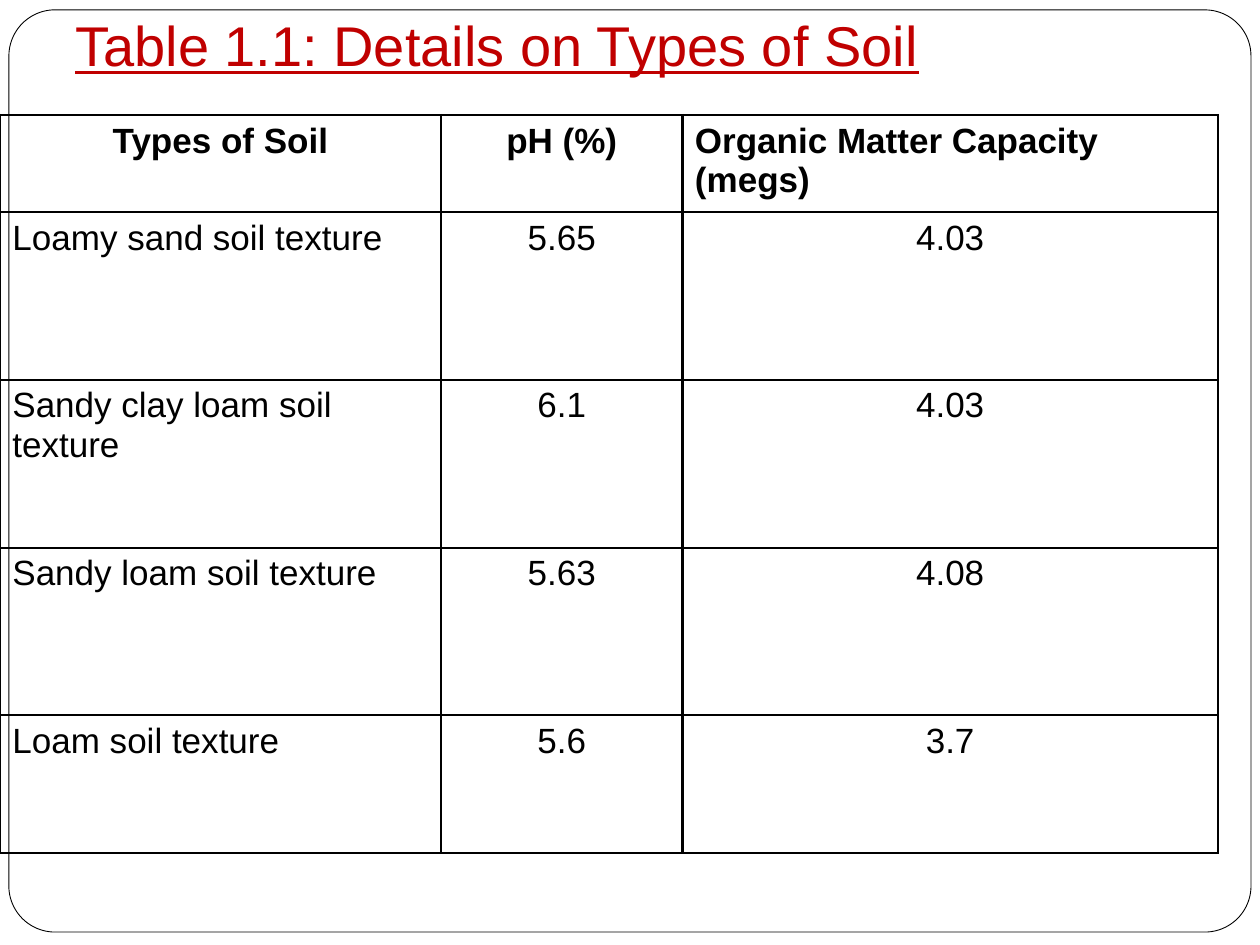
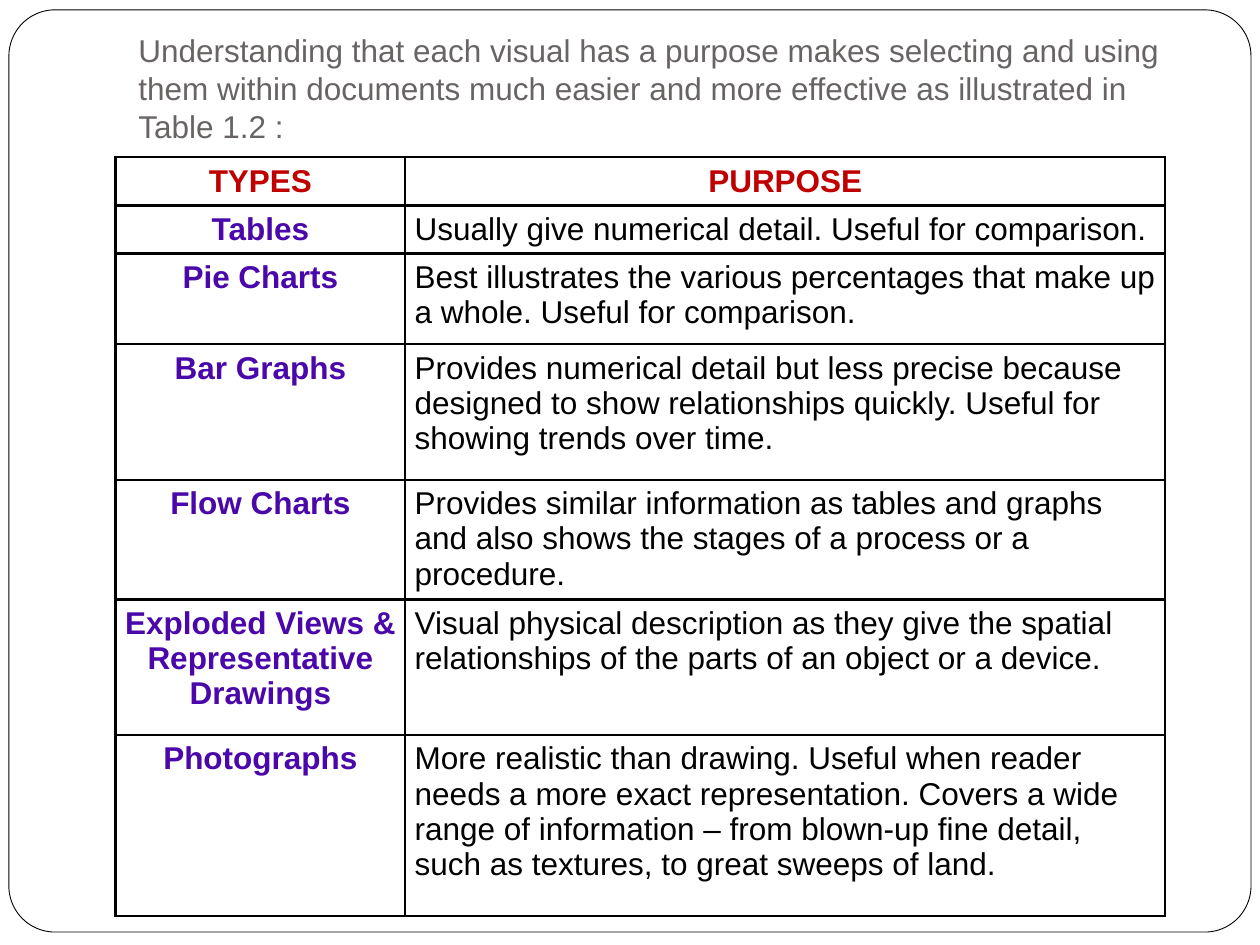
import pptx
import pptx.util
import pptx.oxml
import pptx.oxml.ns
import pptx.dml.color
import pptx.enum.shapes
import pptx.enum.text

Cm = pptx.util.Cm
Pt = pptx.util.Pt
RGB = pptx.dml.color.RGBColor
ALIGN = pptx.enum.text.PP_ALIGN

BLACK = RGB(0x00, 0x00, 0x00)
WHITE = RGB(0xFF, 0xFF, 0xFF)
RED = RGB(0xC0, 0x00, 0x00)
GREY = RGB(0x69, 0x64, 0x64)
VIOLET = RGB(0x4A, 0x08, 0xAA)
FONT = "Arial"
RULE = Pt(1.47)

SOILS = [
    ("Types of Soil", "pH (%)", "Organic Matter Capacity (megs)"),
    ("Loamy sand soil texture", "5.65", "4.03"),
    ("Sandy clay loam soil texture", "6.1", "4.03"),
    ("Sandy loam soil texture", "5.63", "4.08"),
    ("Loam soil texture", "5.6", "3.7"),
]

VISUALS = [
    ("TYPES", "PURPOSE"),
    ("Tables", "Usually give numerical detail. Useful for comparison."),
    ("Pie Charts", "Best illustrates the various percentages that make up "
     "a whole. Useful for comparison."),
    ("Bar Graphs", "Provides numerical detail but less precise because "
     "designed to show relationships quickly. Useful for showing trends "
     "over time."),
    ("Flow Charts", "Provides similar information as tables and graphs and "
     "also shows the stages of a process or a procedure."),
    ("Exploded Views & Representative Drawings", "Visual physical "
     "description as they give the spatial relationships of the parts of an "
     "object or a device."),
    ("Photographs", "More realistic than drawing. Useful when reader needs a "
     "more exact representation. Covers a wide range of information – from "
     "blown-up fine detail, such as textures, to great sweeps of land."),
]


def soil_look(row, col):
    """Colour, bold and centred for a cell of the soil table."""
    head = row == 0
    return BLACK, head, col < 2 if head else col > 0


def visual_look(row, col):
    """Colour, bold and centred for a cell of the visuals table."""
    if row == 0:
        return RED, True, True
    return (VIOLET, True, True) if col == 0 else (BLACK, False, False)


class Deck:
    def __init__(self):
        self.file = pptx.Presentation()
        self.file.slide_width = Cm(25.4)
        self.file.slide_height = Cm(19.05)
        self.slide = None

    def page(self):
        """Start a slide with the rounded frame."""
        self.slide = self.file.slides.add_slide(self.file.slide_layouts[6])
        frame = self.slide.shapes.add_shape(
            pptx.enum.shapes.MSO_SHAPE.ROUNDED_RECTANGLE,
            Cm(0.18), Cm(0.2), Cm(25.04), Cm(18.59))
        frame.adjustments[0] = 0.05
        frame.shadow.inherit = False
        frame.fill.solid()
        frame.fill.fore_color.rgb = WHITE
        frame.line.color.rgb = BLACK
        frame.line.width = Pt(0.5)

    def style(self, para, size, color, bold=False):
        font = para.font
        font.name, font.size, font.bold = FONT, Pt(size), bold
        font.color.rgb = color

    def title(self, text, left, top, width, height, size, color, under=False):
        box = self.slide.shapes.add_textbox(
            Cm(left), Cm(top), Cm(width), Cm(height))
        box.text_frame.word_wrap = True
        para = box.text_frame.paragraphs[0]
        para.text = text
        self.style(para, size, color)
        para.font.underline = under

    def edge(self, cell):
        """Draw a black rule on all four sides of a cell."""
        props = cell._tc.get_or_add_tcPr()
        for side in "LRTB":
            props.append(pptx.oxml.parse_xml(
                f'<a:ln{side} {pptx.oxml.ns.nsdecls("a")} w="{RULE}">'
                f'<a:solidFill><a:srgbClr val="{BLACK}"/></a:solidFill>'
                f'</a:ln{side}>'))

    def table(self, data, left, top, cols, rows, size, pad, look):
        table = self.slide.shapes.add_table(
            len(rows), len(cols), Cm(left), Cm(top),
            Cm(sum(cols)), Cm(sum(rows))).table
        table.first_row = table.horz_banding = False
        for col, width in zip(table.columns, cols):
            col.width = Cm(width)
        for row, height in zip(table.rows, rows):
            row.height = Cm(height)
        for r, line in enumerate(data):
            for c, text in enumerate(line):
                cell = table.cell(r, c)
                cell.margin_left = cell.margin_right = Cm(pad)
                cell.margin_bottom = 0
                self.edge(cell)
                cell.fill.background()
                para = cell.text_frame.paragraphs[0]
                para.text = text
                color, bold, mid = look(r, c)
                para.alignment = ALIGN.CENTER if mid else ALIGN.LEFT
                self.style(para, size, color, bold)


def main():
    deck = Deck()

    # Soil types
    deck.page()
    deck.title("Table 1.1: Details on Types of Soil",
               1.27, 0.08, 22.86, 1.6, 32, RED, under=True)
    deck.table(SOILS, 0, 2.32, [8.89, 4.87, 10.79],
               [1.96] + [3.38] * 3 + [2.77], 20, 0.25, soil_look)

    # Purpose of each visual
    deck.page()
    deck.title("Understanding that each visual has a purpose makes selecting "
               "and using them within documents much easier and more "
               "effective as illustrated in Table 1.2 :",
               2.54, 0.5, 21.59, 2.6, 18, GREY)
    deck.table(VISUALS, 2.33, 3.17, [5.84, 15.32],
               [0.97, 0.97, 1.83, 2.73, 2.39, 2.73, 3.65],
               18, 0.19, visual_look)

    deck.file.save("out.pptx")


if __name__ == "__main__":
    main()
